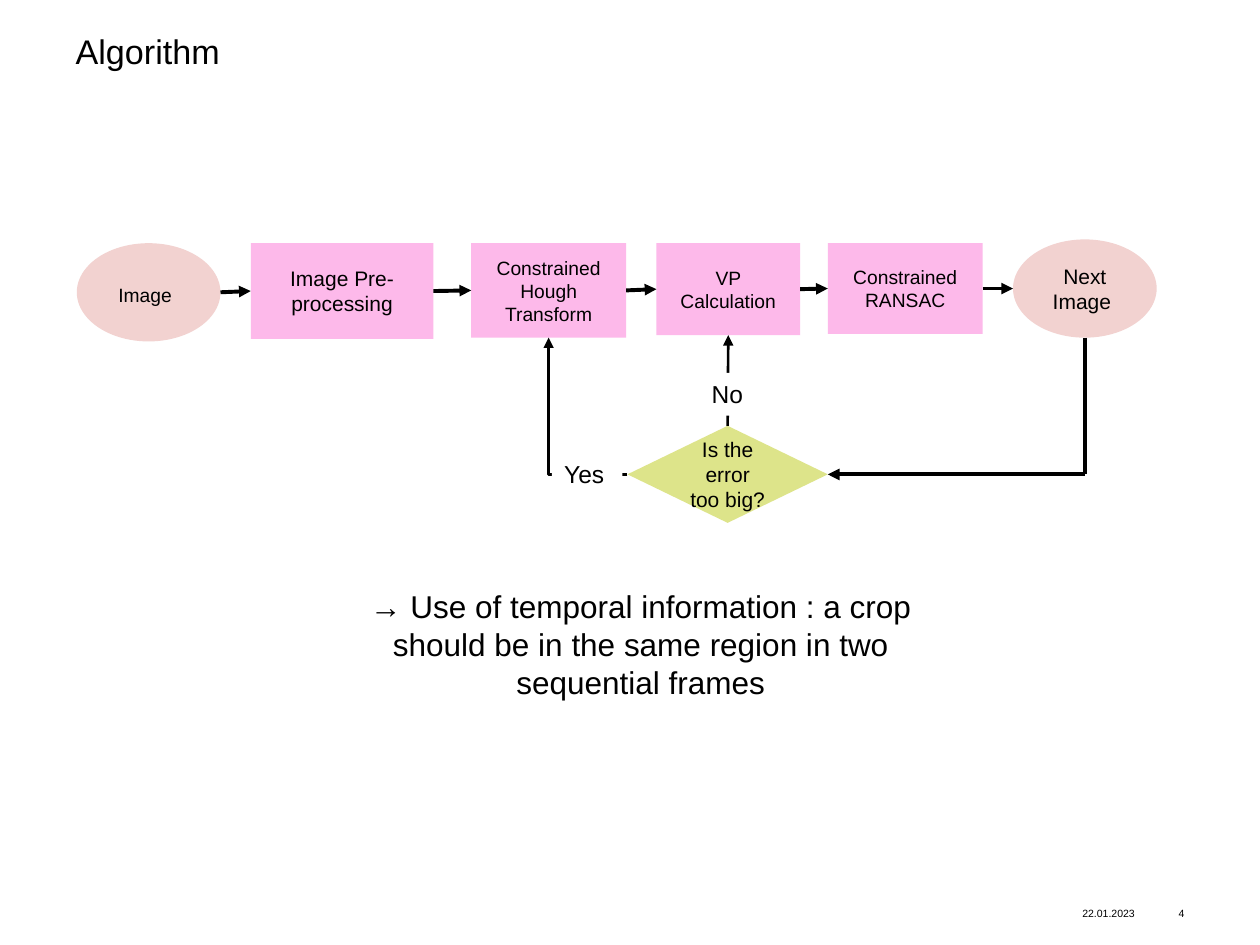
from dataclasses import dataclass
from itertools import pairwise
from typing import Any

from lxml.etree import SubElement
from pptx import Presentation
from pptx.dml.color import RGBColor
from pptx.enum.shapes import MSO_CONNECTOR as LINK, MSO_SHAPE as FORM
from pptx.enum.text import MSO_ANCHOR, MSO_AUTO_SIZE, PP_ALIGN
from pptx.oxml.ns import qn
from pptx.util import Inches, Pt

COLS, ROWS = 100, 75
UNIT = Inches(0.1)
HUES = {"ink": "000000", "paper": "FFFFFF", "end": "F2D2D0",
        "step": "FDB9EA", "test": "DDE48A"}
BARE = {"margin_left": 0, "margin_top": 0, "margin_right": 0, "margin_bottom": 0}
MID = {"vertical_anchor": MSO_ANCHOR.MIDDLE, "word_wrap": True}
GROW = {"auto_size": MSO_AUTO_SIZE.SHAPE_TO_FIT_TEXT, "word_wrap": True}
CENTER = {"alignment": PP_ALIGN.CENTER}


@dataclass(frozen=True)
class Box:
    col: float
    row: float
    wide: float
    high: float

    @property
    def right(self) -> float:
        return self.col + self.wide

    @property
    def base(self) -> float:
        return self.row + self.high

    @property
    def mid(self) -> tuple[float, float]:
        return self.col + self.wide / 2, self.row + self.high / 2


@dataclass(frozen=True)
class Node:
    text: str
    box: Box
    form: Any
    hue: str
    size: float


def span(cells: float) -> int:
    return round(cells * UNIT)


def tune(thing: Any, looks: dict[str, Any]) -> None:
    for name, value in looks.items():
        setattr(thing, name, value)


def place(shape: Any, box: Box) -> None:
    tune(shape, {"left": span(box.col), "top": span(box.row),
                 "width": span(box.wide), "height": span(box.high)})


def write(shape: Any, text: str, size: float, frame: dict[str, Any],
          para: dict[str, Any]) -> Any:
    tune(shape.text_frame, frame)
    line = shape.text_frame.paragraphs[0]
    tune(line, para)
    add_run(line, text, size)
    return line


def add_run(line: Any, text: str, size: float) -> None:
    run = line.add_run()
    run.text = text
    tune(run.font, {"name": "Arial", "size": Pt(size)})
    run.font.color.rgb = RGBColor.from_string(HUES["ink"])


def add_text(page: Any, text: str, box: Box, size: float,
             frame: dict[str, Any], para: dict[str, Any]) -> None:
    shape = page.shapes.add_textbox(0, 0, 0, 0)
    write(shape, text, size, frame, para)
    place(shape, box)


def add_node(page: Any, node: Node, frame: dict[str, Any] = MID,
             para: dict[str, Any] = CENTER) -> Any:
    shape = page.shapes.add_shape(node.form, 0, 0, 0, 0)
    place(shape, node.box)
    shape.shadow.inherit = False
    shape.fill.solid()
    shape.fill.fore_color.rgb = RGBColor.from_string(HUES[node.hue])
    shape.line.fill.background()
    return write(shape, node.text, node.size, frame, para)


def add_link(page: Any, start: tuple[float, float], stop: tuple[float, float],
             width: float = 2.25, head: bool = True, bent: bool = False) -> None:
    kind = LINK.ELBOW if bent else LINK.STRAIGHT
    link = page.shapes.add_connector(kind, *map(span, start + stop))
    link.line.width = Pt(width)
    link.line.color.rgb = RGBColor.from_string(HUES["ink"])
    props = link._element.spPr
    if bent:
        props.find(qn("a:prstGeom")).set("prst", "bentConnector2")
    if head:
        SubElement(props.find(qn("a:ln")), qn("a:tailEnd"), type="triangle")
    SubElement(props, qn("a:effectLst"))


ROUND, RECT = FORM.FLOWCHART_CONNECTOR, FORM.RECTANGLE
TOP = 19.3
CHAIN = [
    Node("Image", Box(6.1, TOP, 11.4, 7.8), ROUND, "end", 11),
    Node("Image Pre-processing", Box(19.9, TOP, 14.5, 7.6), RECT, "step", 12),
    Node("Constrained Hough Transform", Box(37.4, TOP, 12.3, 7.5), RECT, "step", 11),
    Node("VP Calculation", Box(52.1, TOP, 11.4, 7.3), RECT, "step", 11),
    Node("Constrained RANSAC", Box(65.7, TOP, 12.3, 7.2), RECT, "step", 11),
    Node("Next Image ", Box(80.4, 19, 11.4, 7.8), ROUND, "end", 12),
]
TEST = Node("Is the error too big?", Box(49.8, 33.8, 15.9, 7.7),
            FORM.DIAMOND, "test", 12)
NO = Node("No", Box(55.5, 29.6, 4.5, 3.4), RECT, "paper", 14)
YES = Node("Yes", Box(43.8, 35.9, 5.6, 3.4), RECT, "paper", 14)


def main() -> None:
    deck = Presentation()
    tune(deck, {"slide_width": span(COLS), "slide_height": span(ROWS)})
    page = deck.slides.add_slide(deck.slide_layouts[5])

    title = page.shapes.title
    place(title, Box(6, 2.8, 26.4, 9.8))
    write(title, "Algorithm", 19.5,
          BARE | {"vertical_anchor": MSO_ANCHOR.TOP, "word_wrap": True,
                  "auto_size": MSO_AUTO_SIZE.NONE},
          {"alignment": PP_ALIGN.LEFT, "line_spacing": 0.9})
    add_text(page, "22.01.2023", Box(85.9, 71.3, 5, 2.4), 6, BARE | MID, {})
    add_text(page, "4", Box(91.4, 71.3, 2.6, 2.4), 6, BARE | MID,
             {"alignment": PP_ALIGN.RIGHT})
    add_text(page, "→ Use of temporal information : a crop should be in the "
             "same region in two sequential frames",
             Box(26.6, 46.1, 48.5, 10.1), 18, GROW, CENTER)

    lines = [add_node(page, node) for node in CHAIN]
    add_run(lines[0], " ", 14)
    for one, two in pairwise(node.box for node in CHAIN):
        add_link(page, (one.right, one.mid[1]), (two.col, two.mid[1]))

    hough, calc, last = CHAIN[2].box, CHAIN[3].box, CHAIN[-1].box
    across, level = TEST.box.mid
    turn = (last.mid[0], level)
    add_link(page, (last.mid[0], last.base), turn, head=False)
    add_node(page, TEST)
    add_link(page, (across, TEST.box.row), (calc.mid[0], calc.base), 1.5)
    add_link(page, (TEST.box.col, level), (hough.mid[0], hough.base), 1.5, bent=True)
    add_link(page, turn, (TEST.box.right, level))

    left = {"alignment": PP_ALIGN.LEFT}
    top = GROW | {"vertical_anchor": MSO_ANCHOR.TOP}
    add_node(page, NO, top | {"word_wrap": False}, left)
    add_node(page, YES, top, left)
    deck.save("out.pptx")


if __name__ == "__main__":
    main()
